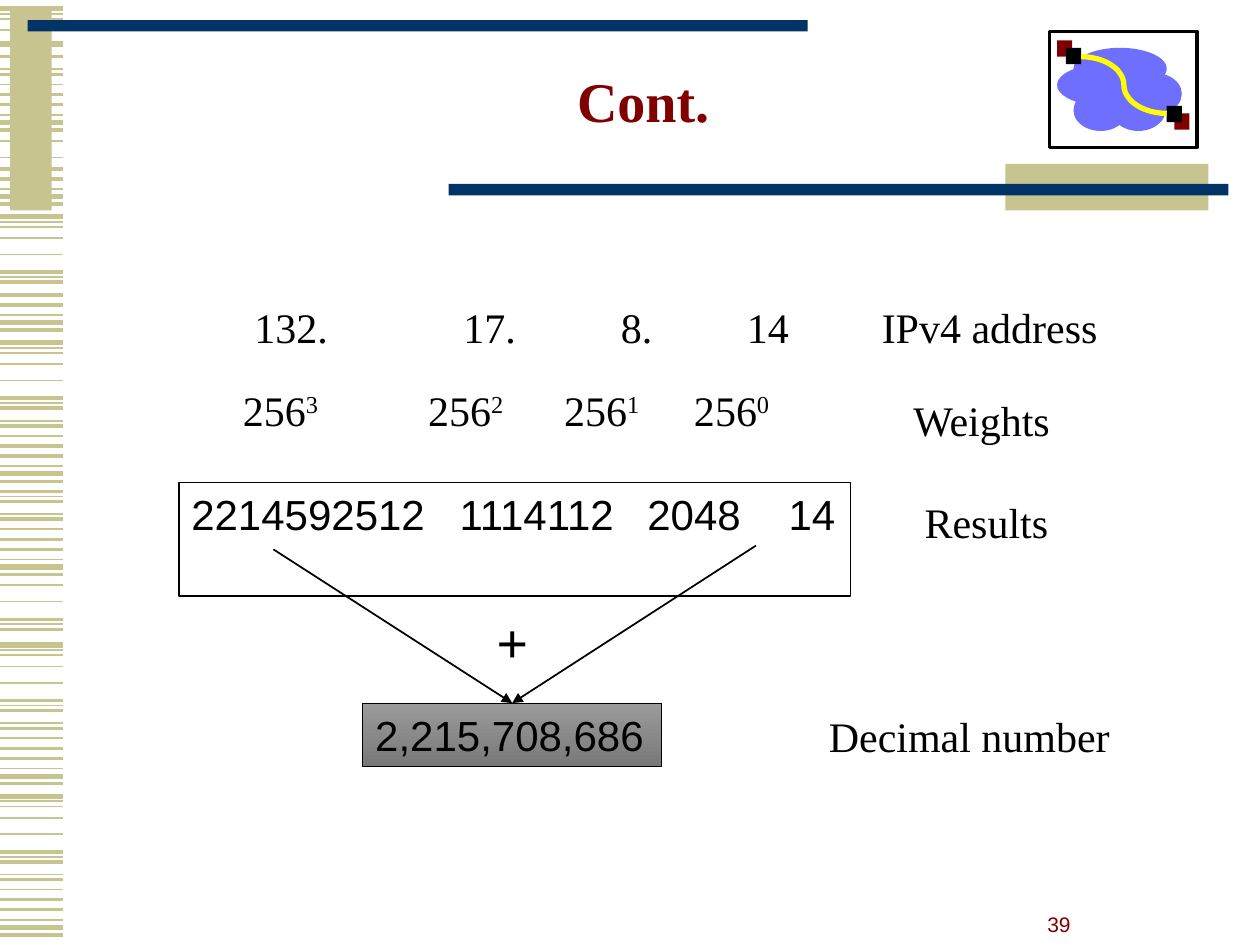
from math import cos, pi, sin

from lxml.etree import SubElement
from pptx import Presentation
from pptx.dml.color import RGBColor
from pptx.enum.shapes import MSO_CONNECTOR as Link, MSO_SHAPE as Form
from pptx.enum.text import MSO_ANCHOR as Anchor, MSO_AUTO_SIZE as Fit, PP_ALIGN as Align
from pptx.oxml.ns import qn
from pptx.util import Inches, Pt

SERIF, SANS = "Times New Roman", "Arial"
SAND, NAVY, MAROON, BLACK, WHITE = "C7C48F", "003366", "800000", "000000", "FFFFFF"
CLOUD, YELLOW = "6F6FFF", "FFFF00"
COLS, ROWS = 100, 75

# One band of stripes: (offset in rows, width in points)
BAND = [(0, 3), (.4, 1), (.8, 1), (1.7, 1), (3, 1), (4.4, 2), (4.8, 1), (5.2, 2),
        (6.2, 1), (6.6, 2), (7.4, 1), (8.2, 2), (9, 2), (9.8, 1), (10.4, 3), (11, 2)]
# Where each band starts, and the slice of it that shows
RUNS = [(.7, 0, 4), (-.7, 8, 16), (9.5, 3, 5), (5.2, 11, 16), (17.2, 0, 8),
        (15.2, 11, 16), (27.2, 0, 16), (34.6, 5, 16), (44.75, 3, 8),
        (51.2, 0, 16), (63.2, 0, 16)]


def tint(code):
    return RGBColor.from_string(code)


class Page:
    def __init__(self):
        self.deck = Presentation()
        self.deck.slide_width, self.deck.slide_height = Inches(10), Inches(7.5)
        self.slide = self.deck.slides.add_slide(self.deck.slide_layouts[5])
        self.shapes = self.slide.shapes

    def spot(self, *nums):
        """Turn alternating columns and rows into lengths."""
        sides = (self.deck.slide_width / COLS, self.deck.slide_height / ROWS)
        return [round(num * sides[i % 2]) for i, num in enumerate(nums)]

    def shape(self, at, fill, line=None, width=1, form=Form.RECTANGLE):
        item = self.shapes.add_shape(form, *self.spot(*at))
        item.shadow.inherit = False
        if isinstance(fill, tuple):
            item.fill.gradient()
            item.fill.gradient_angle = 270
            for stop, code in zip(item.fill.gradient_stops, fill):
                stop.color.rgb = tint(code)
        else:
            item.fill.solid()
            item.fill.fore_color.rgb = tint(fill)
        if line:
            item.line.color.rgb = tint(line)
            item.line.width = Pt(width)
        else:
            item.line.fill.background()
        return item

    def label(self, item, runs, font=SERIF, size=24, color=BLACK, bold=False,
              align=Align.LEFT, anchor=Anchor.TOP, tabs=(), wrap=True):
        """Fill a shape with runs; a run given as a tuple is raised."""
        frame = item.text_frame
        frame.auto_size = Fit.NONE
        frame.word_wrap = wrap
        frame.vertical_anchor = anchor
        para = frame.paragraphs[0]
        para.alignment = align
        if tabs:
            stops = SubElement(para._p.get_or_add_pPr(), qn("a:tabLst"))
            for tab in tabs:
                SubElement(stops, qn("a:tab"), pos=str(self.spot(tab)[0]), algn="l")
        for part in runs:
            run = para.add_run()
            run.text = part[0] if isinstance(part, tuple) else part
            run.font.name, run.font.size, run.font.bold = font, Pt(size), bold
            run.font.color.rgb = tint(color)
            if isinstance(part, tuple):
                run.font._element.set("baseline", "30000")
        return para

    def text(self, at, *runs, **style):
        self.label(self.shapes.add_textbox(*self.spot(*at)), runs, **style)

    def title(self, at, words):
        item = self.shapes.title
        item.left, item.top, item.width, item.height = self.spot(*at)
        frame = item.text_frame
        frame.margin_left, frame.margin_right = Inches(.1), Inches(.14)
        para = self.label(item, [words], size=32, color=MAROON, bold=True,
                          align=Align.CENTER, anchor=Anchor.MIDDLE)
        para.line_spacing = .85

    def line(self, ends, color, width, goal=None):
        """Draw a line; with a goal it is an arrow to that shape's top."""
        item = self.shapes.add_connector(Link.STRAIGHT, *self.spot(*ends))
        item.line.color.rgb = tint(color)
        item.line.width = Pt(width)
        if goal is not None:
            item.end_connect(goal, 0)
            SubElement(item.line._get_or_add_ln(), qn("a:tailEnd"), type="triangle")
        SubElement(item._element.spPr, qn("a:effectLst"))

    def curve(self, dots, color, width):
        dots = [self.spot(*dot) for dot in dots]
        pen = self.shapes.build_freeform(*dots[0])
        pen.add_line_segments(dots[1:], close=False)
        item = pen.convert_to_shape()
        item.shadow.inherit = False
        item.fill.background()
        item.line.color.rgb = tint(color)
        item.line.width = Pt(width)


def frame(page):
    for start, low, high in RUNS:
        for step, width in BAND[low:high]:
            page.line((0, start + step, 5, start + step), SAND, width)
    for row, width in ((3.5, 3), (4.5, 2)):
        page.line((0, row, 5, row), SAND, width)
    page.shape((.8, .8, 3.3, 15.9), SAND)
    page.shape((2.2, 1.6, 61.9, .9), NAVY)
    page.shape((79.8, 13, 16.1, 3.7), SAND)
    page.shape((35.6, 14.6, 61.9, .9), NAVY)


def emblem(page):
    page.shape((83.3, 2.5, 11.7, 9.2), WHITE, BLACK, 2)
    page.shape((93.2, 9, 1.2, 1.3), MAROON)
    for left, top, width in ((83.9, 5.1, 7.4), (85.2, 3.8, 7.4), (85.2, 7.1, 4.3),
                             (88.2, 7.1, 4.3), (88.2, 5.8, 4.3), (89.5, 5.8, 4.3)):
        page.shape((left, top, width, 3.3), CLOUD, form=Form.OVAL)
    for left, top, color in ((83.9, 3.2, MAROON), (84.6, 3.8, BLACK), (92.6, 8.4, BLACK)):
        page.shape((left, top, 1.2, 1.3), color)
    turns = [pi / 2 * i / 12 for i in range(13)]
    upper = [(85.8 + 3.4 * sin(t), 6.75 - 2.25 * cos(t)) for t in turns]
    lower = [(2 * 89.2 - x, 2 * 6.75 - y) for x, y in reversed(upper)]
    page.curve(upper + lower[1:], YELLOW, 3)


def sums(page):
    page.text((15.8, 23.4, 48.3, 5), "\t132.", "\t17.", "\t8.", "\t14",
              tabs=(3.4, 20, 32.5, 42.5))
    powers = [part for power in "3210" for part in ("\t256", (power,))]
    page.text((15.8, 30, 50, 5), *powers, tabs=(2.5, 17.2, 28, 38.3))
    products = page.shape((14.2, 38.3, 53.3, 9), WHITE, BLACK, 1)
    page.label(products, ["2214592512", "\t1114112", "\t2048", "\t14"], font=SANS,
               tabs=(21.3, 36.2, 47.4))
    total = page.shape((28.8, 55.8, 23.7, 5), ("9B9B9B", "797979"), BLACK, .5)
    page.label(total, ["2,215,708,686"], font=SANS)
    for left, top, width, name in ((71.5, 30.8, 13.5, "Weights"),
                                   (72.4, 38.9, 12.6, "Results"),
                                   (69, 23.4, 19.3, "IPv4 address"),
                                   (64.8, 55.9, 25.7, "Decimal number")):
        page.text((left, top, width, 5), name)
    for left, top in ((21.7, 43.6), (60, 43.3)):
        page.line((left, top, 40.6, 55.8), BLACK, 1, total)
    page.text((38.4, 47.7, 4.5, 6.4), "+", size=32, bold=True, wrap=False)


def main():
    page = Page()
    page.text((82.5, 71.7, 3.1, 3.1), "39", font=SANS, size=12, color=MAROON,
              align=Align.CENTER, anchor=Anchor.BOTTOM, wrap=False)
    frame(page)
    emblem(page)
    page.title((5, 0, 92.5, 16.7), "Cont.")
    sums(page)
    page.deck.save("out.pptx")


if __name__ == "__main__":
    main()
